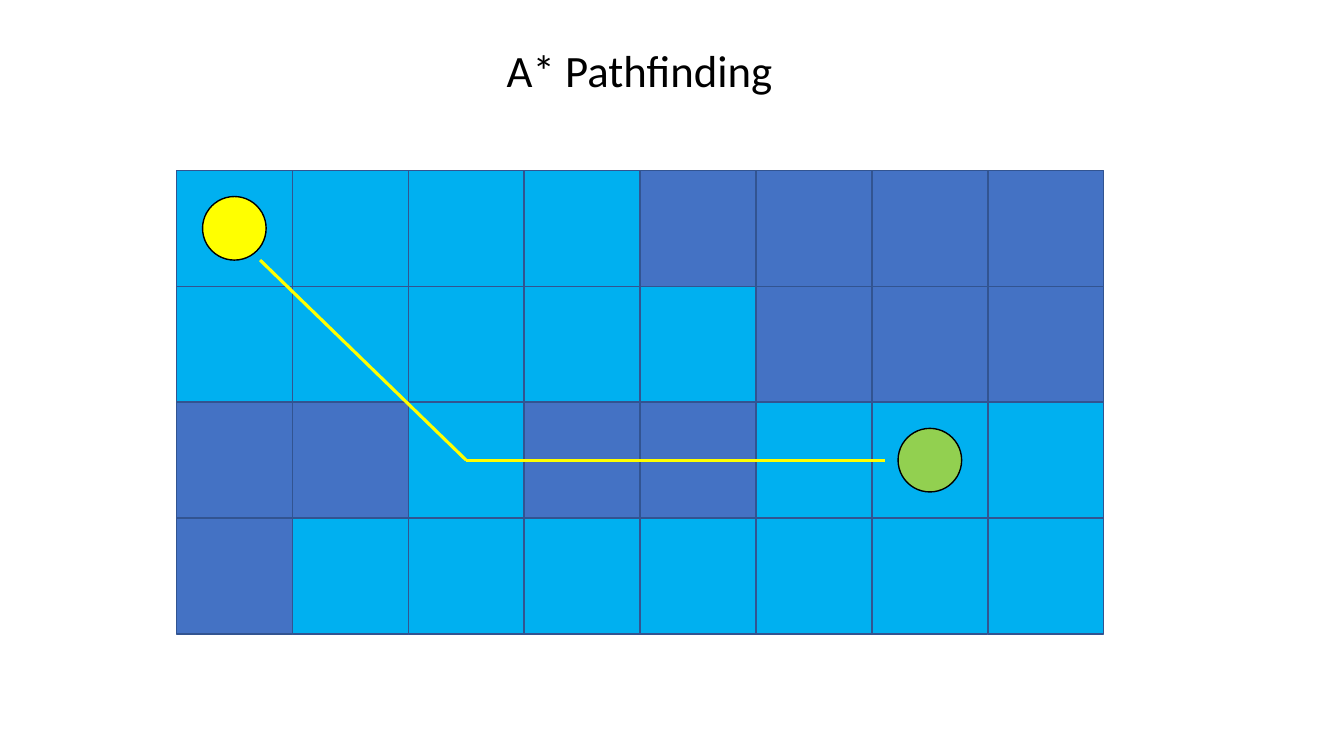
from lxml import etree
from pptx import Presentation
from pptx.dml.color import RGBColor
from pptx.enum.shapes import MSO_CONNECTOR, MSO_SHAPE
from pptx.enum.text import MSO_ANCHOR, PP_ALIGN
from pptx.oxml.ns import qn
from pptx.util import Pt

RECT, OVAL = MSO_SHAPE.RECTANGLE, MSO_SHAPE.OVAL
LINE = MSO_CONNECTOR.STRAIGHT
MIDDLE, CENTER = MSO_ANCHOR.MIDDLE, PP_ALIGN.CENTER

COLORS = {
    "open": "00B0F0",
    "wall": "4472C4",
    "edge": "325491",
    "start": "FFFF00",
    "goal": "92D050",
    "route": "FFFF00",
    "ink": "000000",
}


def rgb(name):
    return RGBColor.from_string(COLORS[name])


def write(shape, text, size=32, font="Calibri", color="ink", align=CENTER):
    frame = shape.text_frame
    frame.word_wrap = True
    frame.vertical_anchor = MIDDLE
    para = frame.paragraphs[0]
    para.alignment = align
    run = para.add_run()
    run.text = text
    run.font.size = Pt(size)
    run.font.name = font
    run.font.color.rgb = rgb(color)


deck = Presentation()
deck.slide_width, deck.slide_height = Pt(960), Pt(540)
slide = deck.slides.add_slide(deck.slide_layouts[5])

# Title
title = slide.shapes.title
title.left, title.top = Pt(329.8), Pt(26.6)
title.width, title.height = Pt(254.2), Pt(46.1)
write(title, "A* Pathfinding")

# Map: "." is open ground, "#" is a wall
MAP = [
    "....####",
    ".....###",
    "##.##...",
    "#.......",
]
LEFT, TOP, CELL, DOT = 126, 121.7, 82.8, 45.4
INSET = (CELL - DOT) / 2

# Each part: preset, column, row, inset, size, fill, edge
parts = [
    (RECT, col, row, 0, CELL, "open" if mark == "." else "wall", "edge")
    for row, marks in enumerate(MAP)
    for col, mark in enumerate(marks)
]
parts += [
    (OVAL, 0, 0, INSET, DOT, "start", "ink"),
    (OVAL, 6, 2, INSET, DOT, "goal", "ink"),
]

# Tiles and markers
board = slide.shapes.add_group_shape()
for kind, col, row, inset, size, fill, edge in parts:
    x, y = LEFT + col * CELL + inset, TOP + row * CELL + inset
    part = board.shapes.add_shape(kind, Pt(x), Pt(y), Pt(size), Pt(size))
    part.shadow.inherit = False
    part.fill.solid()
    part.fill.fore_color.rgb = rgb(fill)
    part.line.color.rgb = rgb(edge)
    part.line.width = Pt(1)

# Route from start to goal, turning at the centre of a tile
turn = (LEFT + 2.5 * CELL, TOP + 2.5 * CELL)
stops = [(185.8, 185.8), turn, (632.2, turn[1])]
for (x1, y1), (x2, y2) in zip(stops, stops[1:]):
    leg = board.shapes.add_connector(LINE, Pt(x1), Pt(y1), Pt(x2), Pt(y2))
    leg.line.color.rgb = rgb("route")
    leg.line.width = Pt(2.25)
    etree.SubElement(leg._element.spPr, qn("a:effectLst"))

deck.save("out.pptx")
